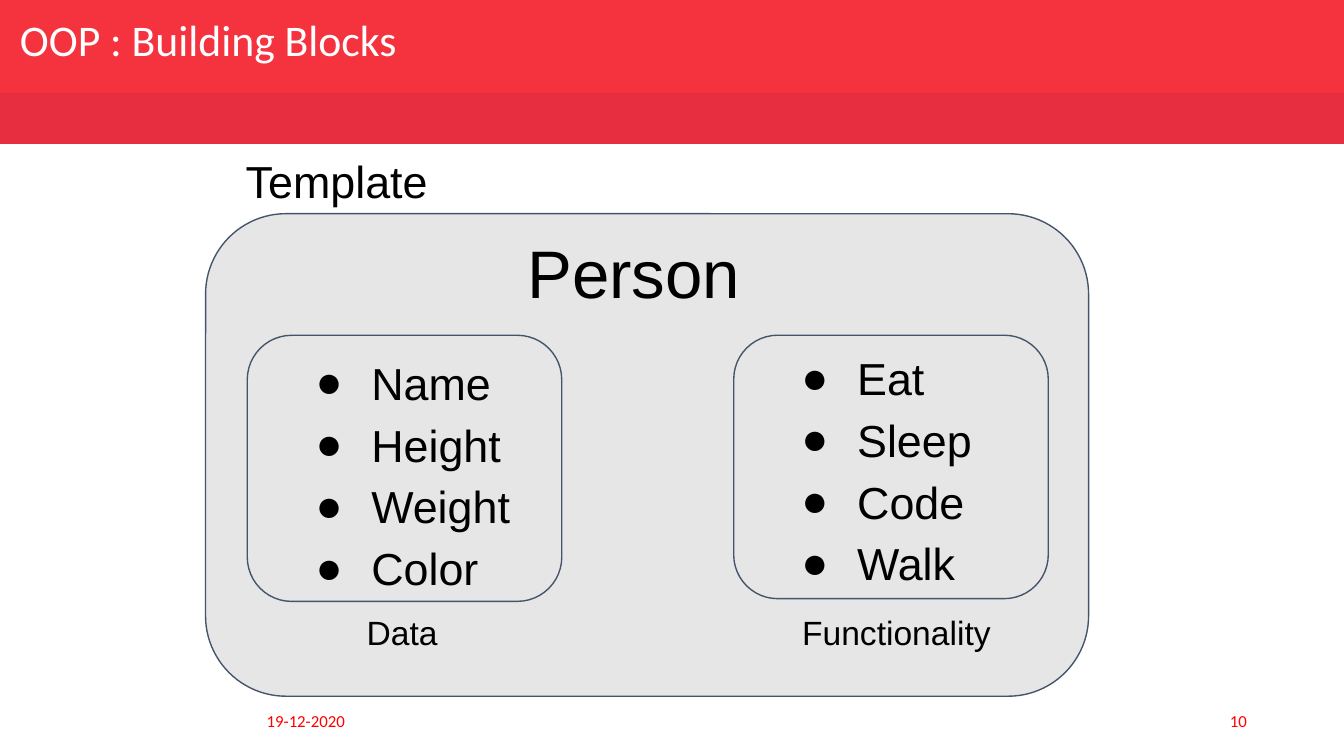
from lxml.etree import SubElement as Sub
from pptx import Presentation
from pptx.dml.color import RGBColor
from pptx.enum.shapes import MSO_SHAPE as Shape
from pptx.enum.text import MSO_ANCHOR as Anchor, PP_ALIGN as Align
from pptx.oxml.ns import qn
from pptx.util import Pt

PX = 4572
RED = RGBColor(0xF5, 0x33, 0x3F)
DARK = RGBColor(0xE7, 0x2D, 0x40)
NOTE = RGBColor(0xFF, 0x00, 0x00)
GREY = RGBColor(0xE7, 0xE6, 0xE6)
NAVY = RGBColor(0x44, 0x54, 0x6A)
BLACK = RGBColor(0x00, 0x00, 0x00)
WHITE = RGBColor(0xFF, 0xFF, 0xFF)


def emu(box):
    """Turn a box in px into EMU."""
    return [n * PX for n in box]


def block(slide, box, kind, fill, line=None):
    """Draw a filled shape, outlined if a line colour is given."""
    shape = slide.shapes.add_shape(kind, *emu(box))
    shape.shadow.inherit = False
    shape.fill.solid()
    shape.fill.fore_color.rgb = fill
    if line is None:
        shape.line.fill.background()
    else:
        shape.line.color.rgb = line
        shape.line.width = Pt(0.75)


def bullet(para):
    """Give a paragraph a round black bullet and a hanging indent."""
    props = para._p.get_or_add_pPr()
    props.set("marL", str(100 * PX))
    props.set("indent", str(-83 * PX))
    tint = Sub(props, qn("a:buClr"))
    Sub(tint, qn("a:srgbClr"), val=str(BLACK))
    Sub(props, qn("a:buFont"), typeface="Arial")
    Sub(props, qn("a:buChar"), char="●")


def write(slide, box, *lines, size=18, font="Arial", color=BLACK, space=1.0,
          align=Align.LEFT, anchor=Anchor.TOP, pad=20, dots=False):
    """Place a text box with one paragraph for each line."""
    frame = slide.shapes.add_textbox(*emu(box)).text_frame
    frame.word_wrap = True
    frame.vertical_anchor = anchor
    frame.margin_left = frame.margin_right = 20 * PX
    frame.margin_top = frame.margin_bottom = pad * PX
    for i, line in enumerate(lines):
        para = frame.add_paragraph() if i else frame.paragraphs[0]
        para.alignment = align
        para.line_spacing = space
        if dots:
            bullet(para)
        run = para.add_run()
        run.text = line
        run.font.size = Pt(size)
        run.font.name = font
        run.font.color.rgb = color


def header(slide, box, title):
    """Draw the two red bands and the title."""
    x, y, w, h = box
    block(slide, (x, y, w, 140), Shape.RECTANGLE, RED)
    block(slide, (x, y + 138, w, h - 138), Shape.RECTANGLE, DARK)
    write(slide, (x + 10, y + 21, 938, 88), title, size=23.4, font="Calibri",
          color=WHITE, space=0.8, anchor=Anchor.MIDDLE, pad=10)


def card(slide, box, items, label, inset, rise, shift, wide):
    """Draw a rounded card with a bullet list and a label under it."""
    x, y, w, h = box
    block(slide, box, Shape.FLOWCHART_ALTERNATE_PROCESS, GREY, NAVY)
    write(slide, (x + inset, y - rise, 412, 114), *items, size=24, space=1.15,
          dots=True)
    write(slide, (x + shift, y + 391, wide, 66), label)


def panel(slide, box):
    """Draw the class template with its data and functionality cards."""
    x, y, w, h = box
    block(slide, box, Shape.ROUNDED_RECTANGLE, GREY, NAVY)
    write(slide, (x + 40, y - 109, 316, 50), "Template", size=24)
    write(slide, (x + 459, y - 12, 376, 114), "Person", size=36, space=1.15)
    card(slide, (x + 62, y + 181, 468, 396),
         ("Name", "Height", "Weight", "Color"), "Data", 65, 2, 158, 240)
    card(slide, (x + 786, y + 181, 468, 392),
         ("Eat", "Sleep", "Code", "Walk"), "Functionality", 64, 9, 82, 350)


def footer(slide, box, date, page):
    """Write the date at the left and the page number at the right."""
    x, y, w, h = box
    for left, word, align in ((x, date, Align.LEFT),
                              (x + w - 450, page, Align.RIGHT)):
        write(slide, (left, y, 450, h), word, size=9, font="Calibri",
              color=NOTE, align=align, anchor=Anchor.MIDDLE, pad=10)


def main():
    """Build the slide and save it."""
    deck = Presentation()
    deck.slide_width, deck.slide_height = emu((2000, 1125))
    slide = deck.slides.add_slide(deck.slide_layouts[6])
    header(slide, (0, 0, 2000, 214), "OOP : Building Blocks")
    panel(slide, (306, 318, 1314, 718))
    footer(slide, (377, 1043, 1498, 60), "19-12-2020", "10")
    deck.save("out.pptx")


if __name__ == "__main__":
    main()
